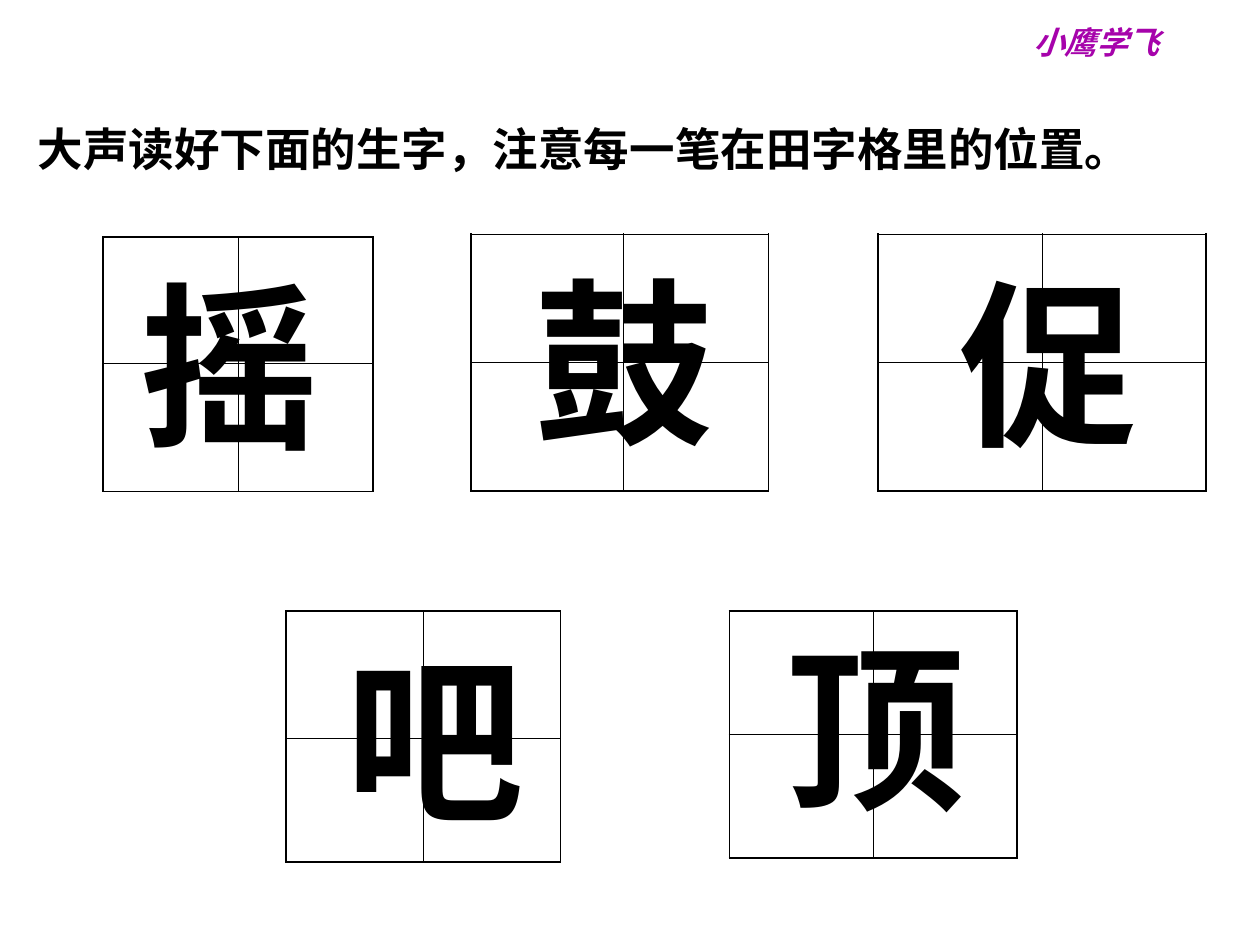
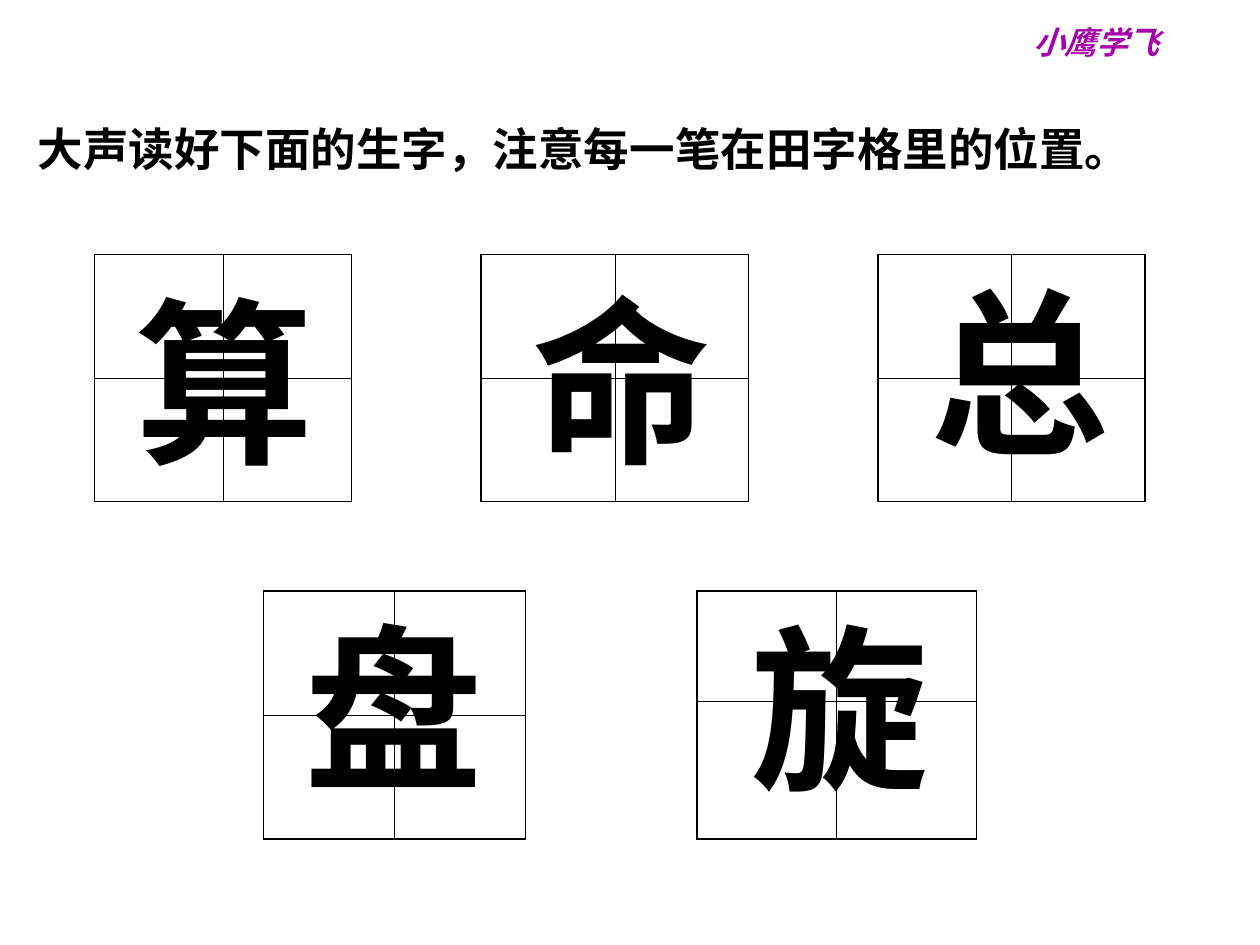
from itertools import product

from lxml import etree
from pptx import Presentation
from pptx.dml.color import RGBColor
from pptx.enum.text import MSO_ANCHOR, MSO_AUTO_SIZE, PP_ALIGN
from pptx.oxml.ns import qn
from pptx.util import Inches, Pt

COLORS = {"ink": "000000", "brand": "A603AB"}
FONT = "Noto Sans CJK SC"
TITLE_ONLY = 5
OUTER, INNER = 1.08, 0.45
BANNER = "小鹰学飞"
TASK = "大声读好下面的生字，注意每一笔在田字格里的位置。"

# Per slide: character, grid (left, top, column widths, row heights),
# character box (left, top, width)
LESSONS = [
    [
        ("摇", (0.82, 1.88, (1.07, 1.07), (1, 1.02)), (1.02, 1.98, 1.86)),
        ("鼓", (3.74, 1.86, (1.21, 1.15), (1.02, 1.02)), (4.15, 1.95, 1.48)),
        ("促", (6.97, 1.86, (1.3, 1.3), (1.02, 1.02)), (7.52, 1.97, 2.01)),
        ("吧", (2.27, 4.85, (1.09, 1.09), (1.01, 0.98)), (2.64, 4.94, 1.76)),
        ("顶", (5.79, 4.85, (1.14, 1.14), (0.98, 0.98)), (6.14, 4.86, 1.85)),
    ],
    [
        ("算", (0.75, 2.02, (1.02, 1.02), (0.98, 0.98)), (0.98, 2.11, 1.48)),
        ("命", (3.82, 2.02, (1.06, 1.06), (0.98, 0.98)), (4.13, 2.1, 1.65)),
        ("总", (6.97, 2.02, (1.06, 1.06), (0.98, 0.98)), (7.29, 2.03, 1.72)),
        ("盘", (2.09, 4.69, (1.04, 1.04), (0.99, 0.98)), (2.32, 4.7, 1.76)),
        ("旋", (5.53, 4.69, (1.11, 1.11), (0.88, 1.09)), (5.86, 4.7, 1.74)),
    ],
]


def set_border(cell, side, width):
    line = etree.SubElement(cell._tc.get_or_add_tcPr(), qn(f"a:{side}"), w=str(Pt(width)))
    fill = etree.SubElement(line, qn("a:solidFill"))
    etree.SubElement(fill, qn("a:srgbClr"), val=COLORS["ink"])


class Deck:
    """Holds the shared style and the slide being filled."""

    def __init__(self):
        self.presentation = Presentation()
        self.presentation.slide_width = Inches(10)
        self.presentation.slide_height = Inches(7.5)
        self.slide = None

    def new_slide(self):
        layout = self.presentation.slide_layouts[TITLE_ONLY]
        self.slide = self.presentation.slides.add_slide(layout)

    def set_text(self, shape, text, size, color="ink", align=PP_ALIGN.LEFT, italic=False):
        frame = shape.text_frame
        frame.text = text
        frame.word_wrap = True
        frame.auto_size = MSO_AUTO_SIZE.NONE
        frame.vertical_anchor = MSO_ANCHOR.TOP
        paragraph = frame.paragraphs[0]
        paragraph.alignment = align
        font = paragraph.runs[0].font
        font.name, font.size, font.bold, font.italic = FONT, Pt(size), True, italic
        font.color.rgb = RGBColor.from_string(COLORS[color])
        etree.SubElement(font._element, qn("a:ea"), typeface=FONT)

    def text(self, text, left, top, width, height, size, **style):
        box = self.slide.shapes.add_textbox(
            Inches(left), Inches(top), Inches(width), Inches(height))
        self.set_text(box, text, size, **style)

    def title(self, text):
        title = self.slide.shapes.title
        title.left, title.top = Inches(0.2), Inches(0.91)
        title.width, title.height = Inches(9.06), Inches(0.54)
        self.set_text(title, text, 26)

    def banner(self):
        self.text(BANNER, 7.52, 0.13, 2.36, 0.55, 18,
                  color="brand", align=PP_ALIGN.CENTER, italic=True)

    def writing_grid(self, left, top, widths, heights):
        """Draw a two-by-two practice square with a heavier outer frame."""
        grid = self.slide.shapes.add_table(
            2, 2, Inches(left), Inches(top),
            Inches(sum(widths)), Inches(sum(heights))).table
        grid.first_row = grid.horz_banding = False
        for column, width in zip(grid.columns, widths):
            column.width = Inches(width)
        for row, height in zip(grid.rows, heights):
            row.height = Inches(height)
        for row, column in product(range(2), repeat=2):
            cell = grid.cell(row, column)
            outer_sides = ("lnR" if column else "lnL", "lnB" if row else "lnT")
            for side in ("lnL", "lnR", "lnT", "lnB"):
                set_border(cell, side, OUTER if side in outer_sides else INNER)
            cell.fill.background()

    def character(self, character, left, top, width):
        self.text(character, left, top, width, 1.8, 102)


def main():
    deck = Deck()
    for lesson in LESSONS:
        deck.new_slide()
        deck.banner()
        deck.title(TASK)
        for character, grid, place in lesson:
            deck.writing_grid(*grid)
            deck.character(character, *place)
    deck.presentation.save("out.pptx")


if __name__ == "__main__":
    main()
